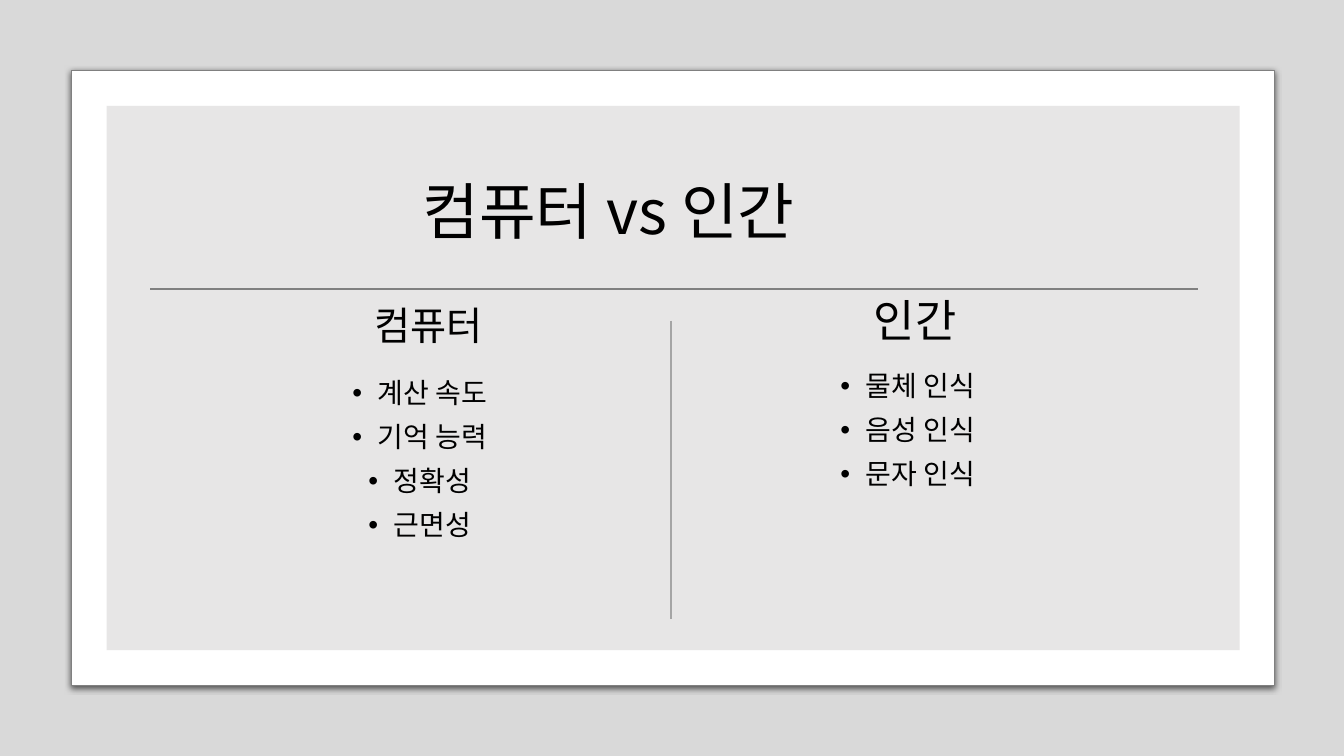
from lxml import etree
from pptx import Presentation
from pptx.dml.color import RGBColor
from pptx.enum import shapes, text
from pptx.oxml import ns
from pptx.util import Pt

FONT = "Noto Sans CJK KR"
BLACK, WHITE, GREY = "000000", "FFFFFF", "808080"


def color(value):
    return RGBColor.from_string(value)


def add_element(parent, name, **attributes):
    """Append a drawing element to an XML parent."""
    return etree.SubElement(parent, ns.qn(name), attributes)


def add_box(slide, kind, left, top, width, height, fill, opacity=None):
    """Add a filled shape without line or shadow."""
    shape = slide.shapes.add_shape(kind, Pt(left), Pt(top), Pt(width), Pt(height))
    shape.shadow.inherit = False
    shape.fill.solid()
    shape.fill.fore_color.rgb = color(fill)
    shape.line.fill.background()
    if opacity is not None:
        fill_color = shape.fill._xPr.find(".//" + ns.qn("a:srgbClr"))
        add_element(fill_color, "a:alpha", val=str(opacity * 1000))
    return shape


def add_drop_shadow(shape):
    effects = shape._element.spPr.find(ns.qn("a:effectLst"))
    shadow = add_element(effects, "a:outerShdw", blurRad=str(Pt(4.5)),
                         dist=str(Pt(1.5)), dir="5400000", rotWithShape="0")
    shadow_color = add_element(shadow, "a:srgbClr", val=BLACK)
    add_element(shadow_color, "a:alpha", val="63000")


def add_rule(slide, x1, y1, x2, y2, line_color):
    rule = slide.shapes.add_connector(
        shapes.MSO_CONNECTOR.STRAIGHT, Pt(x1), Pt(y1), Pt(x2), Pt(y2))
    rule.line.color.rgb = color(line_color)
    rule.line.width = Pt(1.5)
    add_element(rule._element.spPr, "a:effectLst")


def format_paragraph(paragraph, size, alignment):
    paragraph.alignment = alignment
    font = paragraph.font
    font.size = Pt(size)
    font.bold = False
    font.color.rgb = color(BLACK)
    font.name = FONT
    add_element(font._rPr, "a:ea", typeface=FONT)


def place(shape, left, top, width, height):
    """Move a placeholder and bring it to the front."""
    shape.left, shape.top = Pt(left), Pt(top)
    shape.width, shape.height = Pt(width), Pt(height)
    shape.text_frame.auto_size = text.MSO_AUTO_SIZE.NONE
    shape._element.getparent().append(shape._element)


def fill_title(title, wording):
    place(title, 101.5, 100.8, 758.9, 105.1)
    title.text_frame.vertical_anchor = text.MSO_ANCHOR.MIDDLE
    paragraph = title.text_frame.paragraphs[0]
    paragraph.text = wording
    paragraph.line_spacing = 0.9
    properties = paragraph._p.get_or_add_pPr()
    properties.set("marL", str(Pt(193)))
    properties.set("indent", "0")
    format_paragraph(paragraph, 44, text.PP_ALIGN.LEFT)


def fill_list(body, left, top, items):
    place(body, left, top, 396.7, 171.4)
    frame = body.text_frame
    frame.text = "\n".join(items)
    for index, paragraph in enumerate(frame.paragraphs):
        paragraph.line_spacing = 0.9
        paragraph.space_before = Pt(10 if index else 0)
        properties = paragraph._p.get_or_add_pPr()
        properties.set("marL", str(Pt(18)))
        properties.set("indent", str(-Pt(18)))
        add_element(properties, "a:buChar", char="•")
        format_paragraph(paragraph, 20, text.PP_ALIGN.CENTER)


def add_heading(slide, left, top, width, height, wording, size):
    box = slide.shapes.add_textbox(Pt(left), Pt(top), Pt(width), Pt(height))
    box.text_frame.word_wrap = True
    paragraph = box.text_frame.paragraphs[0]
    paragraph.text = wording
    format_paragraph(paragraph, size, text.PP_ALIGN.CENTER)


def main():
    presentation = Presentation()
    presentation.slide_width, presentation.slide_height = Pt(960), Pt(540)
    slide = presentation.slides.add_slide(presentation.slide_layouts[3])
    title, computer_list, human_list = slide.placeholders

    # Backdrop and framed panel
    rectangle = shapes.MSO_SHAPE.RECTANGLE
    add_box(slide, rectangle, 0, 0, 960, 540, BLACK, opacity=15)
    frame = add_box(slide, shapes.MSO_SHAPE.ROUNDED_RECTANGLE,
                    51, 50.4, 859.7, 439.2, WHITE)
    frame.adjustments[0] = 0
    frame.line.color.rgb = color(GREY)
    frame.line.width = Pt(0.75)
    add_drop_shadow(frame)
    add_box(slide, rectangle, 76.2, 75.6, 809.3, 388.8, "E7E6E6")

    # Title and its rule
    fill_title(title, "컴퓨터 vs 인간")
    add_rule(slide, 107.2, 206.6, 856, 206.6, GREY)

    # Computer column
    add_heading(slide, 106.6, 211.7, 399.6, 41, "컴퓨터", 28)
    fill_list(computer_list, 101.5, 267.1,
              ["계산 속도", "기억 능력", "정확성", "근면성"])

    # Human column
    add_heading(slide, 479.5, 205.9, 348.5, 46.1, "인간", 32)
    fill_list(human_list, 450, 262.1, ["물체 인식", "음성 인식", "문자 인식"])

    # Divider between the columns
    add_rule(slide, 479.5, 229, 479.5, 442.1, "A5A5A5")

    presentation.save("out.pptx")


if __name__ == "__main__":
    main()
